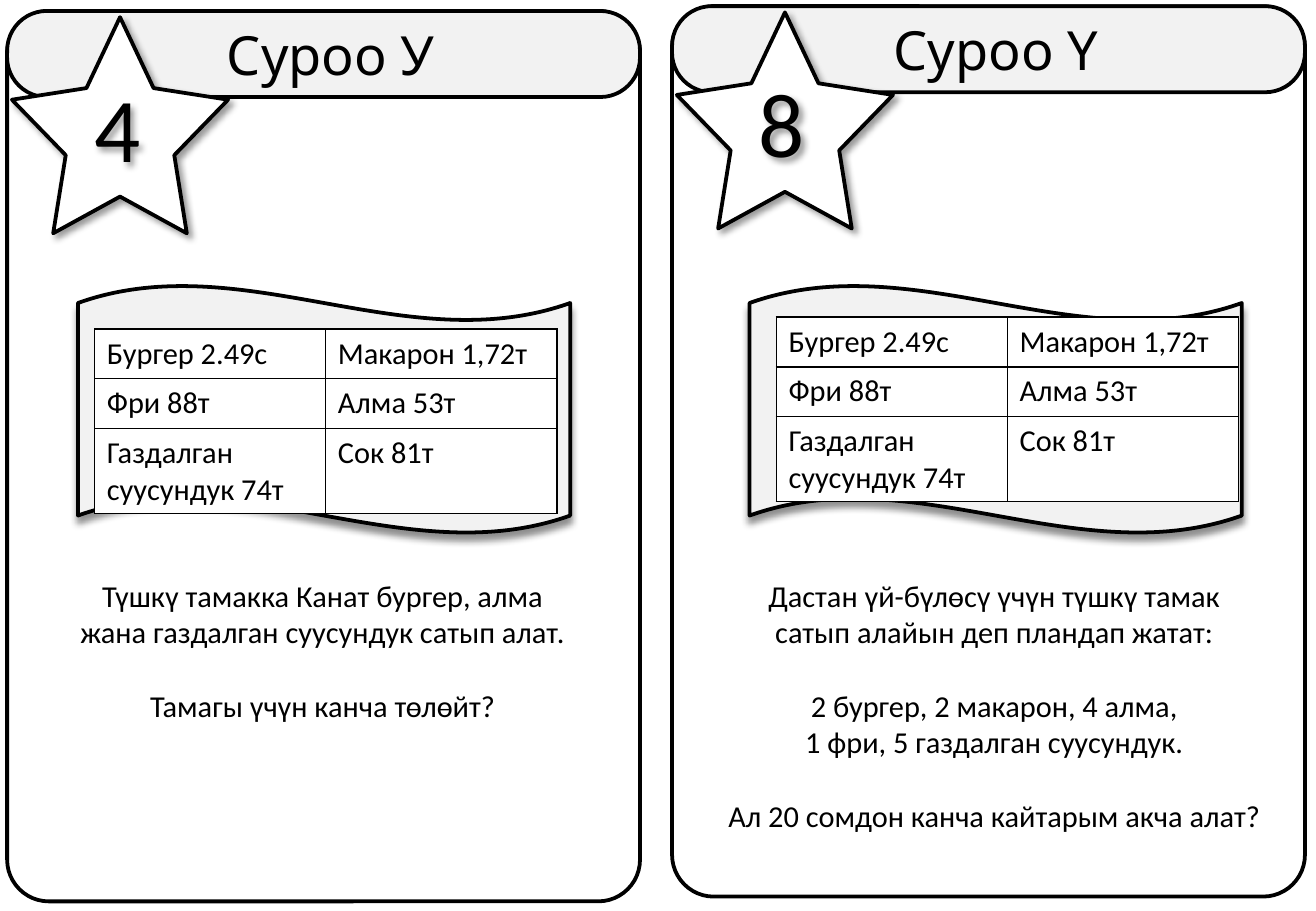
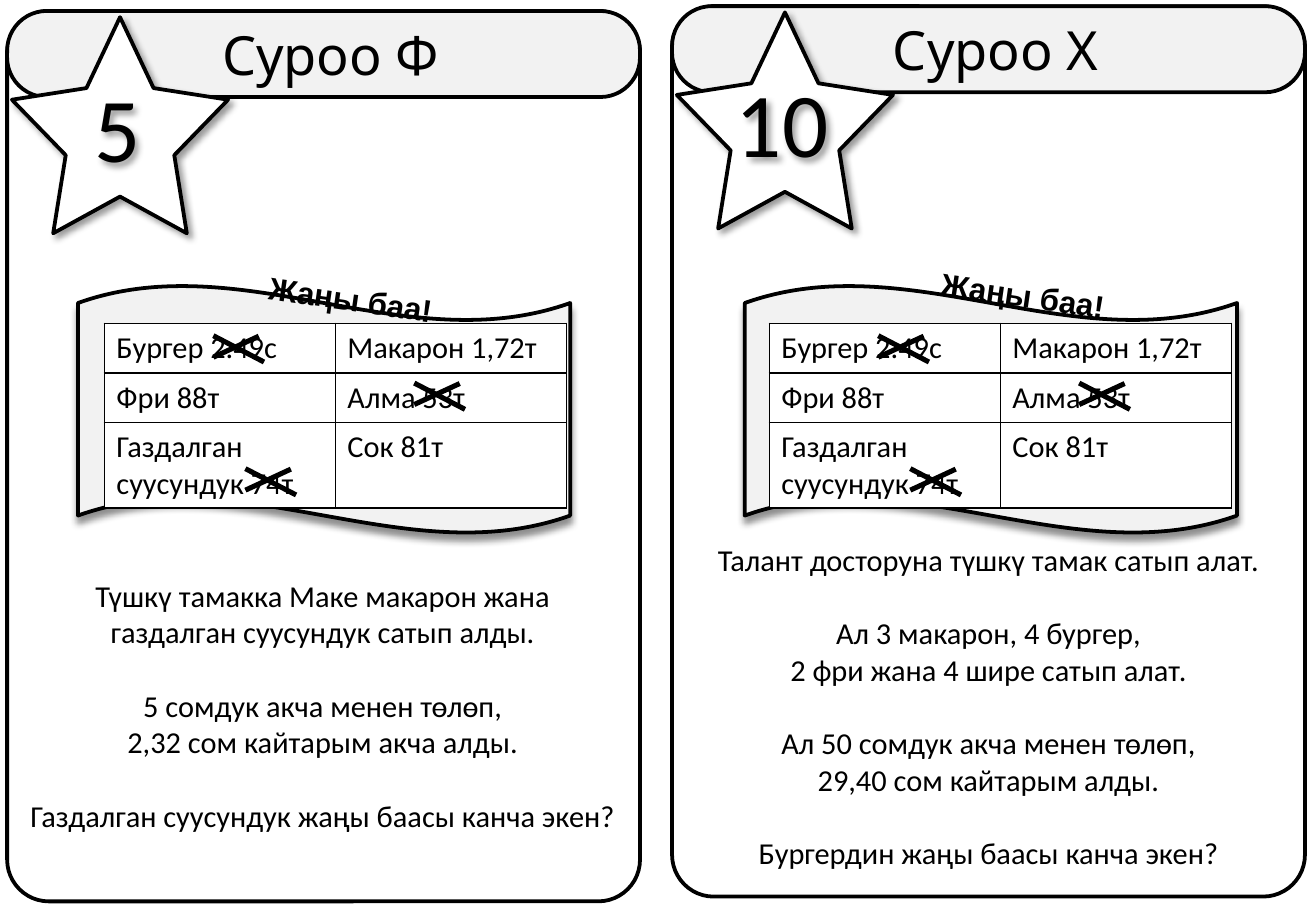
import lxml.etree
import pptx
import pptx.dml.color
import pptx.enum.shapes
import pptx.enum.text
import pptx.oxml
import pptx.oxml.ns
import pptx.util

Cm = pptx.util.Cm
Pt = pptx.util.Pt
RGB = pptx.dml.color.RGBColor.from_string
qn = pptx.oxml.ns.qn
SHAPES = pptx.enum.shapes.MSO_SHAPE
STRAIGHT = pptx.enum.shapes.MSO_CONNECTOR.STRAIGHT
CENTER = pptx.enum.text.PP_ALIGN.CENTER
MIDDLE = pptx.enum.text.MSO_ANCHOR.MIDDLE
TOP = pptx.enum.text.MSO_ANCHOR.TOP
NO_FIT = pptx.enum.text.MSO_AUTO_SIZE.NONE

COLORS = {"ink": "000000", "paper": "FFFFFF", "band": "F2F2F2"}
CARD_WIDTH, CARD_HEIGHT, BANNER_HEIGHT = 13.23, 18.62, 1.8
STAR_SIZE = 4.52
LINE_HEIGHT = 0.77
ROW_HEIGHTS = [1.04, 1.04, 1.76]
COLUMN_WIDTH = 4.83
STAR_SHADOW = (40, 4, 3, 45)
WAVE_SHADOW = (43, 4, 4, 90)

MENU = [
    ["Бургер 2.49с", "Макарон 1,72т"],
    ["Фри 88т", "Алма 53т"],
    ["Газдалган суусундук 74т", "Сок 81т"],
]
# Top left corner of each price cross, measured from the table
CROSSES = [(2.95, 3.04), (6.48, 1.25), (2.28, 0.26)]

# Left, top, placeholder of the heading, placeholder of the question
SIDES = [(0.15, 0.23, 0, 2), (14.05, 0.13, 3, 4)]

PAGES = [
    [
        {"letter": "У", "number": "4", "wave": 1.63, "table": (1.98, 6.88),
         "question": (0.13, 11.94), "new_price": None,
         "groups": [
             ["Түшкү тамакка Канат бургер, алма",
              "жана газдалган суусундук сатып алат."],
             ["Тамагы үчүн канча төлөйт?"]]},
        {"letter": "Ү", "number": "8", "wave": 15.67, "table": (16.23, 6.63),
         "question": (14.17, 11.94), "new_price": None,
         "groups": [
             ["Дастан үй-бүлөсү үчүн түшкү тамак",
              "сатып алайын деп пландап жатат:"],
             ["2 бургер, 2 макарон, 4 алма,",
              "1 фри, 5 газдалган суусундук."],
             ["Ал 20 сомдон канча кайтарым акча алат?"]]},
    ],
    [
        {"letter": "Ф", "number": "5", "wave": 1.63, "table": (2.18, 6.76),
         "question": (0.13, 11.94), "new_price": (5.41, 5.36),
         "groups": [
             ["Түшкү тамакка Маке макарон жана",
              "газдалган суусундук сатып алды."],
             ["5 сомдук акча менен төлөп,",
              "2,32 сом кайтарым акча алды."],
             ["Газдалган суусундук жаңы баасы канча экен?"]]},
        {"letter": "Х", "number": "10", "wave": 15.57, "table": (16.08, 6.76),
         "question": (14.05, 11.18), "new_price": (19.46, 5.28),
         "groups": [
             ["Талант досторуна түшкү тамак сатып алат."],
             ["Ал 3 макарон, 4 бургер,",
              "2 фри жана 4 шире сатып алат."],
             ["Ал 50 сомдук акча менен төлөп,",
              "29,40 сом кайтарым алды."],
             ["Бургердин жаңы баасы канча экен?"]]},
    ],
]


def draw(page, kind, place, adjust, fill=None, shadow=None):
    """Add a black-outlined preset shape; shadow is (alpha %, blur, distance, angle)."""
    shape = page.shapes.add_shape(kind, *[Cm(length) for length in place])
    shape.adjustments[0] = adjust
    if fill:
        shape.fill.solid()
        shape.fill.fore_color.rgb = RGB(COLORS[fill])
    else:
        shape.fill.background()
    shape.line.color.rgb = RGB(COLORS["ink"])
    shape.line.width = Pt(2.25)
    cast_shadow(shape, shadow)
    return shape


def cast_shadow(shape, shadow):
    shape.shadow.inherit = False
    if shadow:
        alpha, blur, distance, angle = shadow
        effects = shape._element.spPr.find(qn("a:effectLst"))
        outer = lxml.etree.SubElement(
            effects, qn("a:outerShdw"), blurRad=str(Pt(blur)), dist=str(Pt(distance)),
            dir=str(angle * 60000), algn="tl", rotWithShape="0")
        color = lxml.etree.SubElement(outer, qn("a:srgbClr"), val=COLORS["ink"])
        lxml.etree.SubElement(color, qn("a:alpha"), val=str(alpha * 1000))


deck = pptx.Presentation()
deck.slide_width, deck.slide_height = Cm(27.51), Cm(19.05)

for cards in PAGES:
    page = deck.slides.add_slide(deck.slide_layouts[4])
    holders = {holder.placeholder_format.idx: holder for holder in page.placeholders}
    spare = holders[1]._element
    spare.getparent().remove(spare)

    for (left, top, heading_id, question_id), card in zip(SIDES, cards):
        # Frame and banner with the heading
        draw(page, SHAPES.ROUNDED_RECTANGLE, (left, top, CARD_WIDTH, CARD_HEIGHT), 0.066)
        draw(page, SHAPES.ROUNDED_RECTANGLE, (left, top, CARD_WIDTH, BANNER_HEIGHT),
             0.461, "band")
        question_left, question_top = card["question"]
        line_count = sum(len(group) + 1 for group in card["groups"]) - 1
        heading, question = holders[heading_id], holders[question_id]
        texts = [
            (heading, (left + 0.15, top, CARD_WIDTH, BANNER_HEIGHT), MIDDLE,
             [["Суроо " + card["letter"]]], "League Spartan", 32),
            (question, (question_left, question_top, CARD_WIDTH,
                        line_count * LINE_HEIGHT + 0.25), TOP,
             card["groups"], "Calibri", 18),
        ]
        for holder, place, anchor, groups, font, size in texts:
            page.shapes._spTree.append(holder._element)  # bring in front of the banner
            holder.left, holder.top, holder.width, holder.height = map(Cm, place)
            frame = holder.text_frame
            frame.auto_size = NO_FIT
            frame.word_wrap = True
            frame.vertical_anchor = anchor
            frame.margin_left = frame.margin_right = 0
            frame.text = "\n".join(line for group in groups for line in group)
            group_starts = [index for group in groups for index in range(len(group))]
            for number, (para, index) in enumerate(zip(frame.paragraphs, group_starts)):
                layout = para._p.get_or_add_pPr()
                layout.set("marL", "0")
                layout.set("indent", "0")
                para.alignment = CENTER
                para.space_before = Pt(22 if number and index == 0 else 0)
                lxml.etree.SubElement(layout, qn("a:buNone"))
                para.font.name = font
                para.font.size = Pt(size)
                para.font.bold = False
                para.font.color.rgb = RGB(COLORS["ink"])

        # Star with the number
        draw(page, SHAPES.STAR_5_POINT, (left + 0.1, top + 0.13, STAR_SIZE, STAR_SIZE),
             0.251, "paper", STAR_SHADOW)
        box = page.shapes.add_textbox(Cm(left + 0.04), Cm(top + 1.14),
                                      Cm(STAR_SIZE), Cm(2.57))
        cast_shadow(box, STAR_SHADOW)
        box.text_frame.word_wrap = True
        para = box.text_frame.paragraphs[0]
        para.text = card["number"]
        para.alignment = CENTER
        para.font.name = "Calibri"
        para.font.size = Pt(54)
        para.font.color.rgb = RGB(COLORS["ink"])

        # Menu on a waving flag
        draw(page, SHAPES.WAVE, (card["wave"], 5.97, 10.29, 5.18), 0.071, "band",
             WAVE_SHADOW)
        if card["new_price"]:
            label_left, label_top = card["new_price"]
            label = page.shapes.add_textbox(Cm(label_left), Cm(label_top),
                                            Cm(4.45), Cm(1.17))
            label.rotation = 8.2
            label.text_frame.word_wrap = False
            span = label.text_frame.paragraphs[0].add_run()
            span.text = "Жаңы баа!"
            span.font.name = "Arial"
            span.font.size = Pt(32)
            span.font.bold = True
            span.font.color.rgb = RGB(COLORS["ink"])
            span.font._element.set("baseline", "6000")

        table_left, table_top = card["table"]
        table = page.shapes.add_table(
            len(MENU), 2, Cm(table_left), Cm(table_top),
            Cm(2 * COLUMN_WIDTH), Cm(sum(ROW_HEIGHTS))).table
        table.first_row = table.horz_banding = False
        for column in table.columns:
            column.width = Cm(COLUMN_WIDTH)
        for row, height, items in zip(table.rows, ROW_HEIGHTS, MENU):
            row.height = Cm(height)
            for cell, item in zip(row.cells, items):
                cell.text = item
                para = cell.text_frame.paragraphs[0]
                para.font.name = "Calibri"
                para.font.size = Pt(18)
                para.font.color.rgb = RGB(COLORS["ink"])
                borders = cell._tc.get_or_add_tcPr()
                for side in ("a:lnL", "a:lnR", "a:lnT", "a:lnB"):
                    border = lxml.etree.SubElement(borders, qn(side), w=str(Pt(1)))
                    solid = lxml.etree.SubElement(border, qn("a:solidFill"))
                    lxml.etree.SubElement(solid, qn("a:srgbClr"), val=COLORS["ink"])
                cell.fill.solid()
                cell.fill.fore_color.rgb = RGB(COLORS["paper"])

        # Crossed-out prices
        if card["new_price"]:
            for across, down in CROSSES:
                x, y = table_left + across, table_top + down
                for ends in [(x, y + 0.45, x + 0.95, y + 0.01), (x, y, x + 1.06, y + 0.55)]:
                    stroke = page.shapes.add_connector(STRAIGHT, *map(Cm, ends))
                    stroke.line.color.rgb = RGB(COLORS["ink"])
                    stroke.line.width = Pt(3)
                    lxml.etree.SubElement(stroke._element.spPr, qn("a:effectLst"))

deck.save("out.pptx")
